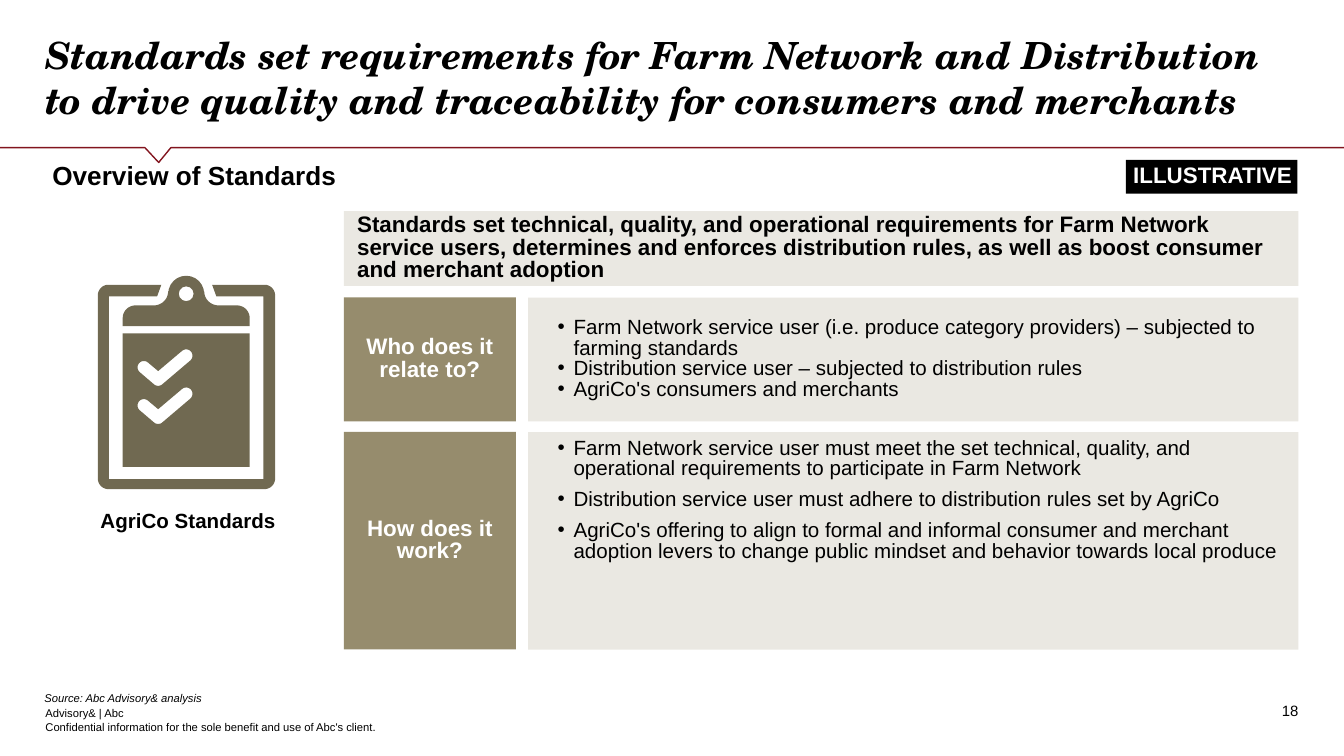
"""Build the slide on standards for farm network and distribution."""
from math import cos, radians, sin

from lxml.etree import SubElement
from pptx import Presentation
from pptx.dml.color import RGBColor
from pptx.enum.shapes import MSO_SHAPE
from pptx.enum.text import MSO_ANCHOR, MSO_AUTO_SIZE, PP_ALIGN
from pptx.oxml.ns import qn
from pptx.util import Cm, Pt

BLACK, WHITE, SAND, OLIVE, MOSS, RED = "000000", "FFFFFF", "EAE8E2", "968C6D", "706951", "82141E"
LEFT, CENTER, RIGHT = PP_ALIGN.LEFT, PP_ALIGN.CENTER, PP_ALIGN.RIGHT
TOP, MIDDLE, BOTTOM = MSO_ANCHOR.TOP, MSO_ANCHOR.MIDDLE, MSO_ANCHOR.BOTTOM


def paint(fill, colour):
    """Make a fill solid in a hex colour."""
    fill.solid()
    fill.fore_color.rgb = RGBColor.from_string(colour)


def write(box, texts, size, colour=BLACK, bold=False, italic=False, font="Arial",
          align=LEFT, anchor=TOP, inset=(0, 0), spacing=None, gap=0):
    """Fill a box with one formatted paragraph per text."""
    frame = box.text_frame
    frame.word_wrap = True
    frame.auto_size = MSO_AUTO_SIZE.NONE
    frame.vertical_anchor = anchor
    frame.margin_left = frame.margin_right = Cm(inset[0])
    frame.margin_top = frame.margin_bottom = Cm(inset[1])
    for index, text in enumerate(texts):
        para = frame.add_paragraph() if index else frame.paragraphs[0]
        para.alignment = align
        para.line_spacing = Pt(spacing) if spacing else 1.0
        para.space_before = Pt(gap if index else 0)
        span = para.add_run()
        span.text = text
        span.font.name, span.font.size = font, Pt(size)
        span.font.bold, span.font.italic = bold, italic
        paint(span.font.fill, colour)


deck = Presentation()
deck.slide_width, deck.slide_height = Cm(25.4), Cm(14.28)
page = deck.slides.add_slide(deck.slide_layouts[3])
title, *lists = page.placeholders

title.left, title.top, title.width, title.height = Cm(0.86), Cm(0.61), Cm(23.67), Cm(1.7)
write(title, ["Standards set requirements for Farm Network and Distribution "
              "to drive quality and traceability for consumers and merchants"],
      20, bold=True, italic=True, font="TeX Gyre Schola", anchor=BOTTOM)

rule_points = [(25.4, 2.79), (3.23, 2.79), (3, 3.07), (2.74, 2.79), (0, 2.79)]
builder = page.shapes.build_freeform(Cm(25.4), Cm(2.79))
builder.add_line_segments([(Cm(x), Cm(y)) for x, y in rule_points[1:]], close=False)
rule = builder.convert_to_shape()
rule.shadow.inherit = False
rule.fill.background()
paint(rule.line.fill, RED)
rule.line.width = Pt(0.75)

labels = [
    ((0.99, 3.15, 16, 0.58), "Overview of Standards", dict(size=14, bold=True, spacing=12.6)),
    ((1.09, 9.68, 4.93, 0.48), "AgriCo Standards",
     dict(size=11, bold=True, align=CENTER, spacing=11)),
    ((0.84, 13.06, 22.6, 0.25), "Source: Abc Advisory& analysis",
     dict(size=6, italic=True, anchor=BOTTOM, spacing=6)),
    ((0.86, 13.34, 7.11, 0.25), "Advisory& | Abc", dict(size=6)),
    ((0.86, 13.61, 8.05, 0.25),
     "Confidential information for the sole benefit and use of Abc's client.",
     dict(size=6, anchor=MIDDLE)),
    ((18.62, 13.26, 5.92, 0.33), "18", dict(size=8, align=RIGHT, anchor=MIDDLE)),
]
for place, text, style in labels:
    write(page.shapes.add_textbox(*map(Cm, place)), [text], **style)

column, list_column, right_edge = 6.5, 9.98, 24.54
rows = [
    (5.62, 2.34, "Who does it relate to?", MIDDLE, 0, [
        "Farm Network service user (i.e. produce category providers) – "
        "subjected to farming standards",
        "Distribution service user – subjected to distribution rules",
        "AgriCo's consumers and merchants"]),
    (8.16, 4.11, "How does it work?", TOP, 5.5, [
        "Farm Network service user must meet the set technical, quality, and "
        "operational requirements to participate in Farm Network",
        "Distribution service user must adhere to distribution rules set by AgriCo",
        "AgriCo's offering to align to formal and informal consumer and merchant "
        "adoption levers to change public mindset and behavior towards local produce"]),
]
panels = [
    ((column, 3.99, right_edge - column, 1.41), SAND, BLACK, LEFT, (0.25, 0.13),
     "Standards set technical, quality, and operational requirements for Farm Network "
     "service users, determines and enforces distribution rules, as well as boost "
     "consumer and merchant adoption"),
    ((21.28, 3.02, 3.24, 0.64), BLACK, WHITE, RIGHT, (0.1, 0.05), "ILLUSTRATIVE"),
]
for top, height, question, *_ in rows:
    panels.append(((column, top, 3.25, height), OLIVE, WHITE, CENTER, (0.25, 0.13), question))
for place, back, colour, align, inset, text in panels:
    panel = page.shapes.add_shape(MSO_SHAPE.RECTANGLE, *map(Cm, place))
    panel.shadow.inherit = False
    paint(panel.fill, back)
    panel.line.fill.background()
    write(panel, [text], 12, colour, bold=True, align=align, anchor=MIDDLE,
          inset=inset, spacing=12)

for box, (top, height, _, anchor, gap, texts) in zip(lists, rows):
    box.left, box.top = Cm(list_column), Cm(top)
    box.width, box.height = Cm(right_edge - list_column), Cm(height)
    paint(box.fill, SAND)
    write(box, texts, 11, anchor=anchor, inset=(0.25, 0.13), spacing=11, gap=gap)
    for para in box.text_frame.paragraphs:
        properties = para._p.get_or_add_pPr()
        properties.set("marL", str(Cm(0.61)))
        properties.set("indent", str(-Cm(0.3)))
        bullet_colour = SubElement(properties, qn("a:buClr"))
        SubElement(bullet_colour, qn("a:srgbClr"), val=BLACK)
        SubElement(properties, qn("a:buFont"), typeface="Arial")
        SubElement(properties, qn("a:buChar"), char="•")

board = [(4.01, 5.38, 0, 0, 0), (5, 5.58, 0.2, 270, 360), (5, 9.04, 0.2, 0, 90),
         (2.05, 9.04, 0.2, 90, 180), (2.05, 5.58, 0.2, 180, 270), (3.05, 5.38, 0, 0, 0),
         (2.97, 5.6, 0, 0, 0), (2.06, 5.6, 0, 0, 0), (2.06, 9.05, 0, 0, 0),
         (4.98, 9.05, 0, 0, 0), (4.98, 5.6, 0, 0, 0), (4.09, 5.6, 0, 0, 0)]
sheet = [(x, y, 0, 0, 0) for x, y in [(2.32, 6.3), (4.72, 6.3), (4.72, 8.82), (2.32, 8.82)]]
clip = [(2.32, 6.16, 0, 0, 0), (2.56, 6.01, 0.24, 180, 270), (2.91, 5.5, 0.27, 90, 0),
        (3.52, 5.55, 0.34, 180, 360), (4.13, 5.5, 0.27, 180, 90),
        (4.48, 6.01, 0.24, 270, 360), (4.72, 6.16, 0, 0, 0)]
hole = [(3.52, 5.55, 0.14, 0, 360)]
ticks = [[(2.72, 6.94 + drop, 0.12, 130, 310), (2.99, 7.01 + drop, 0, 0, 0),
          (3.52, 6.72 + drop, 0.12, 230, 410), (2.99, 7.17 + drop, 0.12, 50, 130)]
         for drop in (0, 0.72)]

builder = None
for outline in [board, sheet, clip, hole, *ticks]:
    points = []
    for x, y, radius, start, end in outline:
        for step in range(13 if radius else 1):
            angle = radians(start + (end - start) * step / 12)
            points.append((Cm(x + radius * cos(angle)), Cm(y + radius * sin(angle))))
    if builder:
        builder.move_to(*points[0])
    else:
        builder = page.shapes.build_freeform(*points[0])
    builder.add_line_segments(points[1:], close=True)
clipboard = builder.convert_to_shape()
clipboard.shadow.inherit = False
paint(clipboard.fill, MOSS)
clipboard.line.fill.background()

deck.save("out.pptx")
